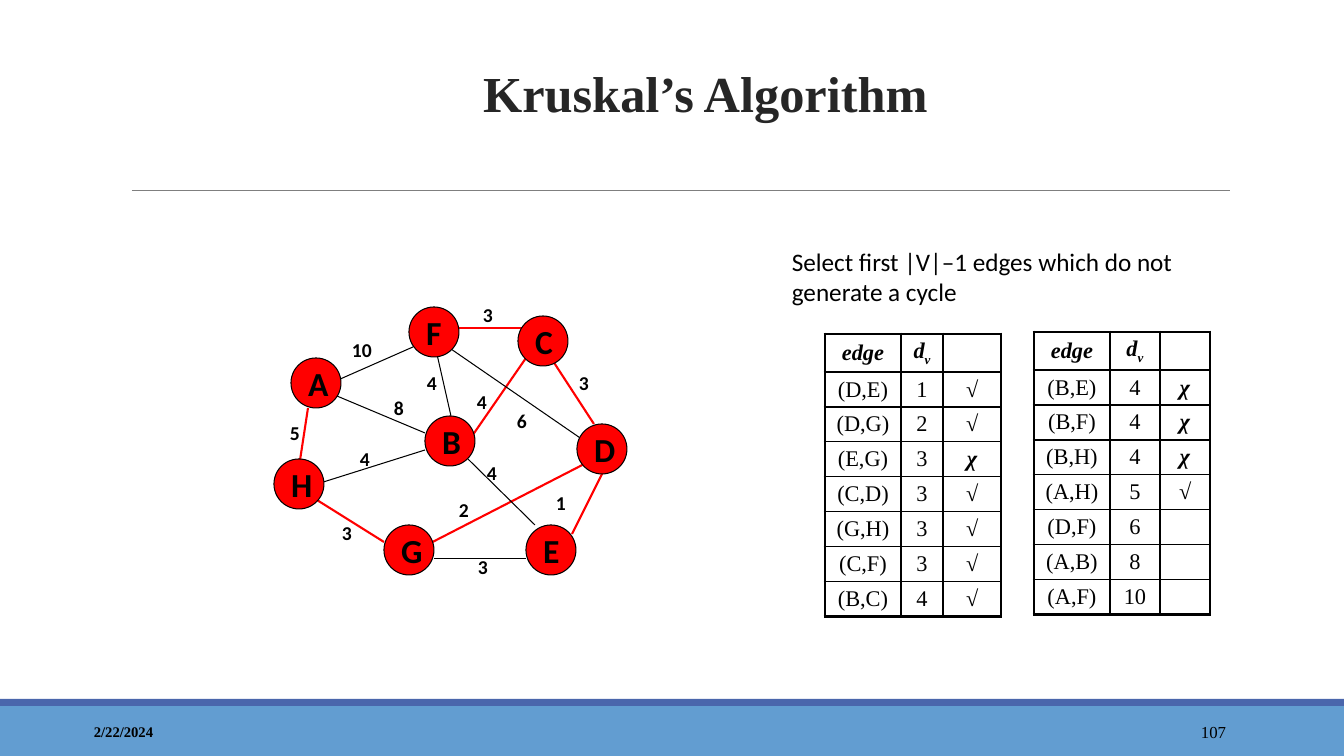
from lxml.etree import SubElement
from pptx import Presentation
from pptx.dml.color import RGBColor
from pptx.enum.shapes import MSO_CONNECTOR, MSO_SHAPE
from pptx.enum.text import MSO_ANCHOR as Anchor, PP_ALIGN as Align
from pptx.oxml.ns import qn
from pptx.util import Emu, Pt

SLIDE_SIZE = (1344, 756)
COLORS = {
    "black": "000000",
    "title": "262626",
    "rule": "7F7F7F",
    "band": "629DD1",
    "stripe": "4A66AC",
    "red": "FF0000",
}
SERIF, SANS = "Times New Roman", "Calibri"

BANDS = [("band", (0, 706, 1344, 50)), ("stripe", (0, 699, 1344, 7))]
RULE = (132, 191, 1230, 191)

# text, box, font, size, bold, colour, alignment, anchor, line spacing
TEXTS = [
    ("2/22/2024", (84, 712, 302, 40), SERIF, 10.5, True, "black", Align.LEFT, Anchor.MIDDLE, 1),
    ("107", (1092, 712, 144, 40), SERIF, 12, False, "black", Align.RIGHT, Anchor.MIDDLE, 1),
    ("Select first |V|–1 edges which do not generate a cycle",
     (782, 241, 446, 78), SANS, 18, False, "black", Align.LEFT, Anchor.TOP, 1),
    ("Kruskal’s Algorithm", (151, 21, 1109, 107), SERIF, 36, True, "title",
     Align.CENTER, Anchor.BOTTOM, 1.1),
]

NODE_SIZE = 50
NODES = {
    "A": (291, 358), "H": (274, 459), "B": (425, 416), "F": (409, 307),
    "E": (526, 525), "D": (577, 424), "C": (518, 316), "G": (384, 525),
}

# edge, weight, mark, line from and to, label left, top and width
EDGES = [
    ("(D,E)", 1, "√", (614, 450, 572, 534), (546, 486, 52)),
    ("(D,G)", 2, "√", (594, 459, 417, 550), (449, 493, 33)),
    ("(E,G)", 3, "χ", (526, 559, 434, 559), (468, 550, 33)),
    ("(C,D)", 3, "√", (551, 358, 594, 424), (569, 366, 33)),
    ("(G,H)", 3, "√", (384, 542, 317, 500), (332, 516, 33)),
    ("(C,F)", 3, "√", (456, 328, 523, 328), (473, 298, 33)),
    ("(B,C)", 4, "√", (468, 442, 526, 358), (467, 385, 33)),
    ("(B,E)", 4, "χ", (468, 459, 535, 525), (477, 456, 52)),
    ("(B,F)", 4, "χ", (434, 341, 451, 416), (417, 366, 33)),
    ("(B,H)", 4, "χ", (317, 484, 425, 450), (350, 442, 33)),
    ("(A,H)", 5, "√", (299, 467, 308, 408), (280, 416, 33)),
    ("(D,F)", 6, "", (586, 442, 451, 349), (507, 404, 51)),
    ("(A,B)", 8, "", (325, 391, 425, 433), (384, 391, 33)),
    ("(A,F)", 10, "", (338, 380, 413, 347), (342, 333, 52)),
]

HEADER_HEIGHT, ROW_HEIGHT = 38, 35
# left, top, column widths, edges listed
TABLES = [
    (825, 334, (76, 42, 58), EDGES[:7]),
    (1034, 332, (76, 50, 50), EDGES[7:]),
]


def px(length):
    return Emu(round(length * 12192000 / SLIDE_SIZE[0]))


def color(name):
    return RGBColor.from_string(COLORS[name])


def set_font(font, name, size, bold=False, italic=False, tint="black"):
    font.name, font.size = name, Pt(size)
    font.bold, font.italic = bold, italic
    font.color.rgb = color(tint)


def add_text(slide, text, box, font, size, bold, tint="black",
             align=Align.LEFT, anchor=Anchor.TOP, spacing=1):
    frame = slide.shapes.add_textbox(*map(px, box)).text_frame
    frame.word_wrap = True
    frame.vertical_anchor = anchor
    paragraph = frame.paragraphs[0]
    paragraph.text = text
    paragraph.alignment = align
    paragraph.line_spacing = spacing
    set_font(paragraph.font, font, size, bold, tint=tint)


def add_line(slide, ends, tint, width):
    line = slide.shapes.add_connector(MSO_CONNECTOR.STRAIGHT, *map(px, ends))
    line.line.color.rgb = color(tint)
    line.line.width = Pt(width)
    SubElement(line._element.spPr, qn("a:effectLst"))


def add_band(slide, tint, box):
    band = slide.shapes.add_shape(MSO_SHAPE.RECTANGLE, *map(px, box))
    band.shadow.inherit = False
    band.fill.solid()
    band.fill.fore_color.rgb = color(tint)
    band.line.fill.background()


def add_node(slide, letter, left, top):
    box = (left, top, NODE_SIZE, NODE_SIZE)
    node = slide.shapes.add_shape(MSO_SHAPE.OVAL, *map(px, box))
    node.shadow.inherit = False
    node.fill.solid()
    node.fill.fore_color.rgb = color("red")
    node.line.color.rgb = color("black")
    node.line.width = Pt(0.75)
    paragraph = node.text_frame.paragraphs[0]
    paragraph.text = letter
    paragraph.alignment = Align.LEFT
    set_font(paragraph.font, SANS, 24, bold=True)


def set_borders(cell, outer_sides):
    """Draw all four borders, thick on the sides at the table's edge."""
    properties = cell._tc.get_or_add_tcPr()
    for side in "LRTB":
        width = Pt(2.25 if side in outer_sides else 1)
        border = SubElement(properties, qn(f"a:ln{side}"), w=str(width))
        fill = SubElement(border, qn("a:solidFill"))
        SubElement(fill, qn("a:srgbClr"), val=COLORS["black"])


def add_edge_table(slide, left, top, widths, edges):
    rows = [("edge", "d", "")] + [(edge, str(weight), mark) for edge, weight, mark, *_ in edges]
    heights = [HEADER_HEIGHT] + [ROW_HEIGHT] * len(edges)
    box = (left, top, sum(widths), sum(heights))
    table = slide.shapes.add_table(len(rows), len(widths), *map(px, box)).table
    table.first_row = table.horz_banding = False
    for column, width in zip(table.columns, widths):
        column.width = px(width)
    for r, (texts, height) in enumerate(zip(rows, heights)):
        table.rows[r].height = px(height)
        for c, text in enumerate(texts):
            cell = table.cell(r, c)
            at_edge = {"L": c == 0, "R": c == len(widths) - 1,
                       "T": r == 0, "B": r == len(rows) - 1}
            set_borders(cell, [side for side, outer in at_edge.items() if outer])
            cell.fill.background()
            cell.margin_top = cell.margin_bottom = 0
            cell.vertical_anchor = Anchor.MIDDLE
            paragraph = cell.text_frame.paragraphs[0]
            paragraph.text = text
            paragraph.alignment = Align.CENTER
            emphasis = r == 0 or c == 2
            set_font(paragraph.font, SERIF, 16, emphasis, emphasis)
    subscript = table.cell(0, 1).text_frame.paragraphs[0].add_run()
    subscript.text = "v"
    subscript._r.get_or_add_rPr().set("baseline", "-25000")


def main():
    presentation = Presentation()
    presentation.slide_width, presentation.slide_height = map(px, SLIDE_SIZE)
    slide = presentation.slides.add_slide(presentation.slide_layouts[6])

    for band in BANDS:
        add_band(slide, *band)
    add_line(slide, RULE, "rule", 0.75)
    for text in TEXTS:
        add_text(slide, *text)
    for table in TABLES:
        add_edge_table(slide, *table)

    for _, _, mark, ends, _ in EDGES:
        add_line(slide, ends, *(("red", 1.5) if mark == "√" else ("black", 0.75)))
    for letter, position in NODES.items():
        add_node(slide, letter, *position)
    for _, weight, _, _, (left, top, width) in EDGES:
        add_text(slide, str(weight), (left, top, width, 33), SANS, 14, True)

    presentation.save("out.pptx")


if __name__ == "__main__":
    main()
